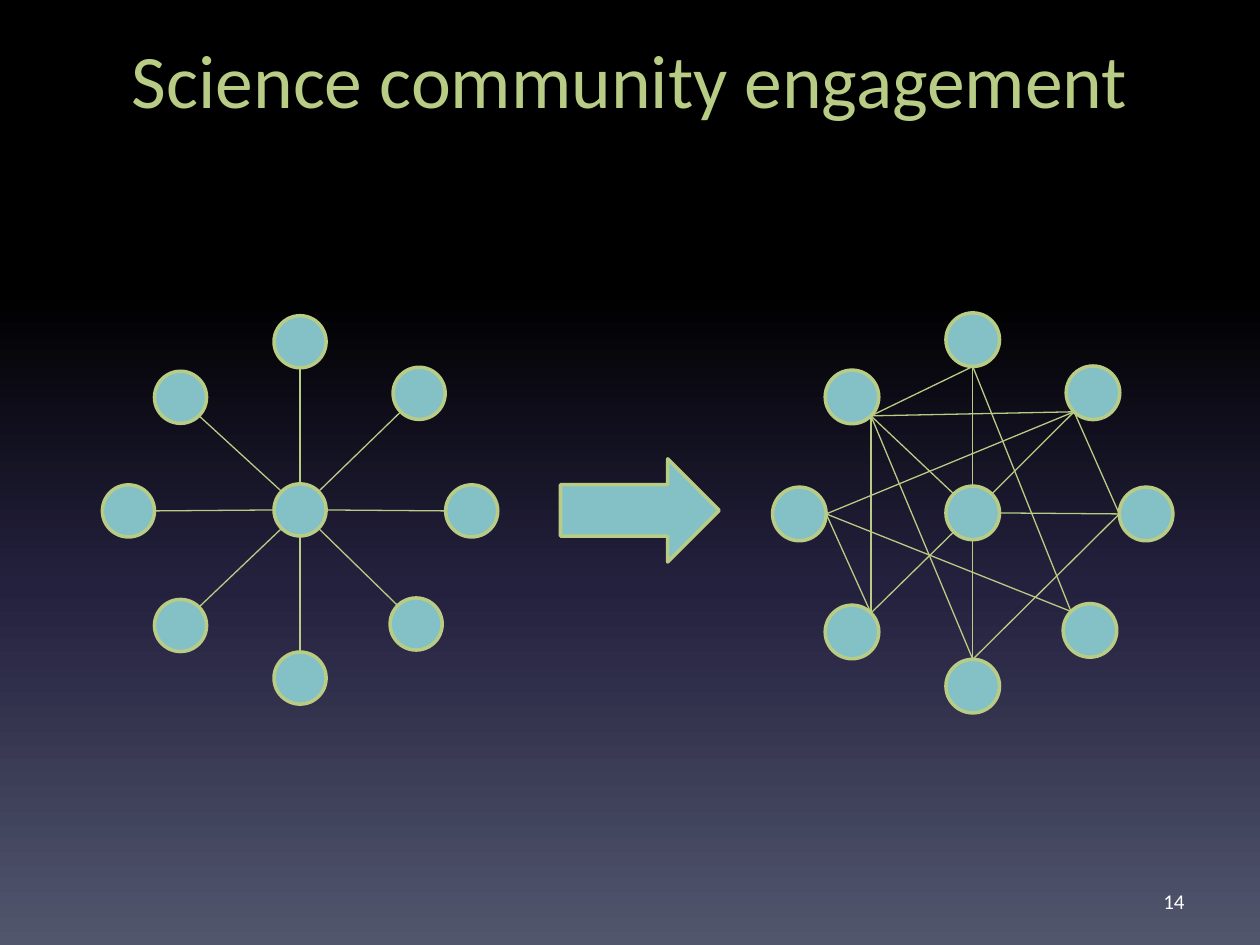
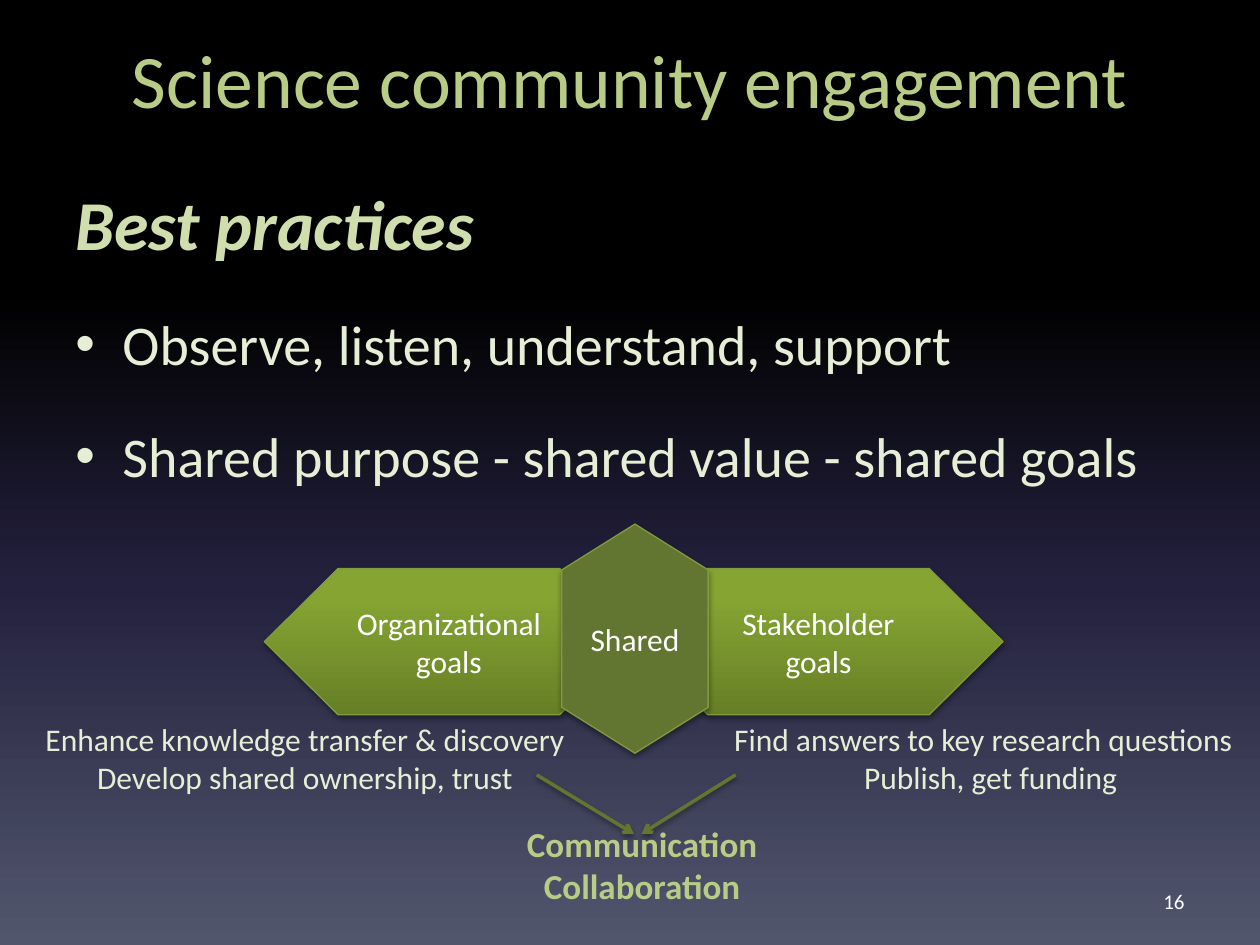
"""Build two slides on science community engagement."""
from dataclasses import dataclass
from typing import Any

import pptx
import pptx.dml.color
import pptx.enum.shapes
import pptx.enum.text
import pptx.oxml.ns
import pptx.util
from lxml import etree

Cm = pptx.util.Cm
Pt = pptx.util.Pt
qn = pptx.oxml.ns.qn
Kind = pptx.enum.shapes.MSO_SHAPE
Align = pptx.enum.text.PP_ALIGN
Anchor = pptx.enum.text.MSO_ANCHOR

FONT = "Calibri"
LIME, PALE, CREAM, WHITE = "B8CC85", "D0DDAD", "E7EED6", "FFFFFF"
TEAL, OLIVE, EDGE = "83C1C6", "627531", "819B3D"
NIGHT = [(0, "000000"), (31, "000000"), (62, "24213E"), (100, "51566D")]
LEAF = [(0, "667F26"), (80, "85A432"), (100, "87A730")]


@dataclass(frozen=True)
class Box:
    """Place and size in centimetres."""
    left: float
    top: float
    width: float
    height: float

    def sides(self) -> list[int]:
        """Return the four lengths for python-pptx."""
        return [Cm(v) for v in (self.left, self.top, self.width, self.height)]


@dataclass(frozen=True)
class Node:
    """Offset from the hub and compass direction of an outer node."""
    x: float
    y: float
    east: int
    south: int


@dataclass(frozen=True)
class Web:
    """Hub, scale, node size and links of one network."""
    x: float
    y: float
    wide: float
    tall: float
    size: float
    spokes: str
    chords: str = ""


@dataclass(frozen=True)
class Goal:
    """One hexagon of the goals band."""
    text: str
    box: Box
    turned: bool = False


@dataclass(frozen=True)
class Note:
    """Two centred or left-led lines below the band."""
    box: Box
    lines: tuple[str, str]
    lead: Any = Align.CENTER
    size: float = 18
    color: str = CREAM
    bold: bool = False


NODES = {
    "N": Node(0, -3.39, 0, -1), "NE": Node(2.4, -2.35, 1, -1),
    "E": Node(3.46, 0.02, 1, 0), "SE": Node(2.34, 2.3, 1, 1),
    "S": Node(0, 3.39, 0, 1), "SW": Node(-2.41, 2.33, -1, 1),
    "W": Node(-3.46, 0.02, -1, 0), "NW": Node(-2.41, -2.27, -1, -1),
}
WEBS = [
    Web(6.05, 10.28, 1, 1, 1.05, "N NE E SE S SW W NW"),
    Web(19.61, 10.34, 1.01, 1.03, 1.08, "N NE E S SW NW",
        "S-E NW-N NW-NE W-SE W-NE N-SE NE-E SW-W SW-NW S-NW"),
]
GOALS = [
    Goal("Organizational goals", Box(5.33, 11.46, 7.44, 2.95)),
    Goal("Stakeholder goals", Box(12.78, 11.46, 7.44, 2.95)),
    Goal("Shared", Box(10.49, 11.4, 4.62, 2.95), True),
]
NOTES = [
    Note(Box(0.08, 14.4, 12.14, 1.8),
         ("Enhance knowledge transfer & discovery", "Develop shared ownership, trust")),
    Note(Box(14.55, 14.4, 10.85, 1.8),
         ("Find answers to key research questions", "Publish, get funding"), Align.LEFT),
    Note(Box(10.24, 16.46, 5.41, 1.96), ("Communication", "Collaboration"),
         size=20, color=LIME, bold=True),
]
POINTS = ["Observe, listen, understand, support",
          "Shared purpose - shared value - shared goals"]


def hue(code: str) -> pptx.dml.color.RGBColor:
    """Turn a hex string into a colour."""
    return pptx.dml.color.RGBColor.from_string(code)


def blend(fill: Any, root: Any, stops: list[tuple[int, str]], angle: int) -> None:
    """Give a fill a linear gradient."""
    fill.gradient()
    grad = next(root.iter(qn("a:gradFill")))
    grad.clear()
    row = etree.SubElement(grad, qn("a:gsLst"))
    for part, code in stops:
        stop = etree.SubElement(row, qn("a:gs"), pos=str(part * 1000))
        etree.SubElement(stop, qn("a:srgbClr"), val=code)
    etree.SubElement(grad, qn("a:lin"), ang=str(angle * 60000), scaled="0")


def shade(item: Any, alpha: int = 0, gap: float = 0) -> None:
    """Set a soft shadow below an item, or none when alpha is zero."""
    frame = item._element.spPr
    for old in frame.findall(qn("a:effectLst")):
        frame.remove(old)
    effect = etree.SubElement(frame, qn("a:effectLst"))
    if alpha:
        cast = etree.SubElement(effect, qn("a:outerShdw"), blurRad=str(Pt(3.1)),
                                dist=str(Pt(gap)), dir="5400000", rotWithShape="0")
        tint = etree.SubElement(cast, qn("a:srgbClr"), val="000000")
        etree.SubElement(tint, qn("a:alpha"), val=str(alpha * 1000))


def write(frame: Any, text: str, *, size: float, color: str, align: Any = Align.LEFT,
          bold: bool = False, slant: bool = False, space: float = 1.0,
          before: float = 0, dot: bool = False) -> None:
    """Add one paragraph of formatted text to a frame."""
    para = frame.add_paragraph() if frame.text else frame.paragraphs[0]
    if dot:
        props = para._p.get_or_add_pPr()
        props.set("marL", str(Cm(0.95)))
        props.set("indent", str(-Cm(0.95)))
        etree.SubElement(props, qn("a:buFont"), typeface="Arial")
        etree.SubElement(props, qn("a:buChar"), char="•")
    para.alignment, para.line_spacing = align, space
    para.space_before = Pt(before)
    run = para.add_run()
    run.text = text
    font = run.font
    font.name, font.size, font.bold, font.italic = FONT, Pt(size), bold, slant
    font.color.rgb = hue(color)


def panel(slide: Any, box: Box, anchor: Any = Anchor.TOP) -> Any:
    """Add a wrapping text box and return its frame."""
    frame = slide.shapes.add_textbox(*box.sides()).text_frame
    frame.word_wrap = True
    frame.vertical_anchor = anchor
    return frame


def draw(shapes: Any, kind: Any, box: Box, fill: str, line: str, width: float) -> Any:
    """Add a filled, outlined shape without shadow."""
    shape = shapes.add_shape(kind, *box.sides())
    shape.fill.solid()
    shape.fill.fore_color.rgb = hue(fill)
    shape.line.color.rgb = hue(line)
    shape.line.width = Pt(width)
    shape.shadow.inherit = False
    return shape


def link(shapes: Any, start: tuple[float, float], end: tuple[float, float],
         color: str, width: float) -> Any:
    """Add a straight line without shadow."""
    line = shapes.add_connector(pptx.enum.shapes.MSO_CONNECTOR.STRAIGHT,
                                *(Cm(v) for v in start + end))
    line.line.color.rgb = hue(color)
    line.line.width = Pt(width)
    shade(line)
    return line


def weave(slide: Any, web: Web) -> None:
    """Draw a network of nodes round a hub."""
    shapes = slide.shapes.add_group_shape().shapes

    def spot(name: str) -> tuple[float, float]:
        """Return the centre of an outer node."""
        node = NODES[name]
        return web.x + node.x * web.wide, web.y + node.y * web.tall

    def port(name: str, hub: bool = False) -> tuple[float, float]:
        """Return the rim point facing the hub, or the hub's facing the node."""
        node = NODES[name]
        reach = web.size / 2 / (node.east ** 2 + node.south ** 2) ** 0.5
        x, y = (web.x, web.y) if hub else spot(name)
        sign = 1 if hub else -1
        return x + sign * reach * node.east, y + sign * reach * node.south

    for name in web.spokes.split():
        link(shapes, port(name, True), port(name), LIME, 0.75)
    for chord in web.chords.split():
        first, last = chord.split("-")
        link(shapes, port(first), port(last), LIME, 0.75)
    for x, y in [*map(spot, NODES), (web.x, web.y)]:
        box = Box(x - web.size / 2, y - web.size / 2, web.size, web.size)
        draw(shapes, Kind.OVAL, box, TEAL, LIME, 2)


def begin(deck: Any, number: int) -> Any:
    """Add a slide with the shared background, title and number."""
    slide = deck.slides.add_slide(deck.slide_layouts[6])
    blend(slide.background.fill, slide._element, NIGHT, 90)
    write(panel(slide, Box(1.27, 0.53, 22.86, 2.29)), "Science community engagement",
          size=43.2, color=LIME, align=Align.CENTER)
    write(panel(slide, Box(18.21, 17.65, 5.92, 1.02), Anchor.MIDDLE), str(number),
          size=12, color=WHITE, align=Align.RIGHT)
    return slide


def webs(deck: Any) -> None:
    """Build the slide that turns a star into a mesh."""
    slide = begin(deck, 14)
    for web in WEBS:
        weave(slide, web)
    draw(slide.shapes, Kind.RIGHT_ARROW, Box(11.3, 9.25, 3.2, 2.08), TEAL, LIME, 2)


def goals(deck: Any) -> None:
    """Build the slide of best practices and shared goals."""
    slide = begin(deck, 16)
    body = panel(slide, Box(1.27, 2.67, 22.86, 14.22))
    write(body, "Best practices", size=40, color=PALE, bold=True, slant=True, space=1.5)
    for point in POINTS:
        write(body, point, size=32, color=CREAM, space=1.5, before=6.4, dot=True)

    band = slide.shapes.add_group_shape().shapes
    for goal in GOALS:
        shape = draw(band, Kind.FLOWCHART_PREPARATION, goal.box, OLIVE, EDGE, 0.75)
        shade(shape, 35, 1.8)
        frame = shape.text_frame
        frame.word_wrap = True
        frame.vertical_anchor = Anchor.MIDDLE
        write(frame, goal.text, size=18, color=WHITE, align=Align.CENTER)
        if goal.turned:
            shape.rotation = 90
            frame._txBody.bodyPr.set("vert", "vert270")
        else:
            blend(shape.fill, shape._element.spPr, LEAF, 270)

    for note in NOTES:
        frame = panel(slide, note.box)
        for text, align in zip(note.lines, (note.lead, Align.CENTER)):
            write(frame, text, size=note.size, color=note.color, align=align,
                  bold=note.bold)

    for start, end in ((10.82, 12.78), (14.83, 12.93)):
        arrow = link(slide.shapes, (start, 15.62), (end, 16.81), OLIVE, 2)
        etree.SubElement(arrow.line._get_or_add_ln(), qn("a:tailEnd"), type="arrow")
        shade(arrow, 38, 1.6)


def main() -> None:
    """Build and save the deck."""
    deck = pptx.Presentation()
    deck.slide_width, deck.slide_height = Cm(25.4), Cm(19.05)
    webs(deck)
    goals(deck)
    deck.save("out.pptx")


if __name__ == "__main__":
    main()
